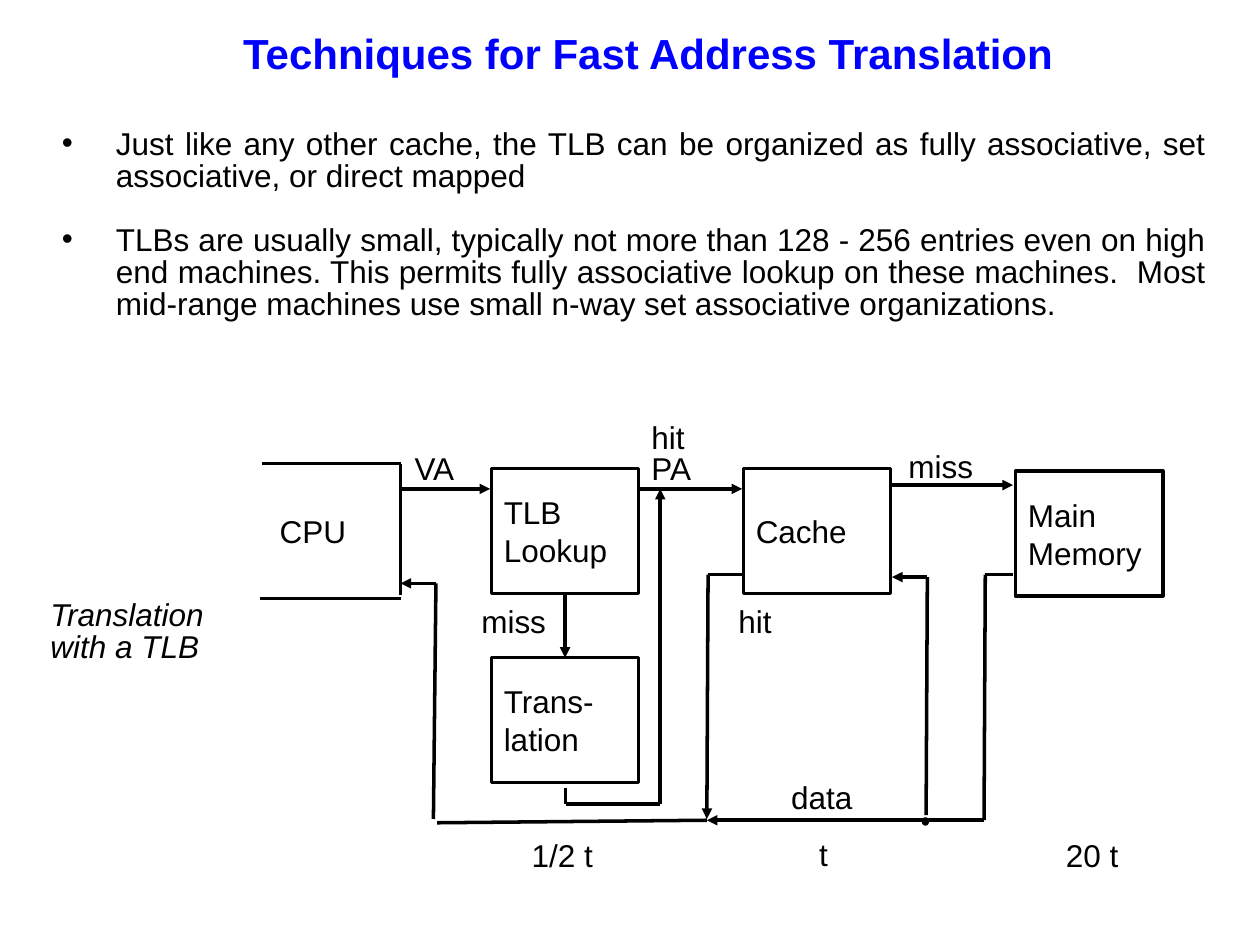
from itertools import pairwise

from lxml.etree import SubElement
from pptx import Presentation
from pptx.dml.color import RGBColor
from pptx.enum.shapes import MSO_CONNECTOR, MSO_SHAPE
from pptx.enum.text import MSO_ANCHOR, MSO_AUTO_SIZE, PP_ALIGN
from pptx.oxml.ns import qn
from pptx.util import Inches, Pt


def rgb(value):
    return RGBColor.from_string(value)


def write(tf, text, size=18, color="000000", bold=False, italic=False,
          align=PP_ALIGN.LEFT, spacing=1.0, gap=0, bullet=False):
    for i, line in enumerate(text.split("\n")):
        p = tf.paragraphs[0] if i == 0 else tf.add_paragraph()
        p.alignment, p.line_spacing = align, spacing
        p.space_before = Pt(gap if i else 0)
        r = p.add_run()
        r.text = line
        font = r.font
        font.name, font.size = "Arial", Pt(size)
        font.bold, font.italic = bold, italic
        font.color.rgb = rgb(color)
        if bullet:
            pPr = p._p.get_or_add_pPr()
            pPr.set("marL", str(Inches(0.43)))
            pPr.set("indent", str(Inches(-0.43)))
            SubElement(pPr, qn("a:buFont"), typeface="Arial")
            SubElement(pPr, qn("a:buChar"), char="•")


class Diagram:
    ink = "000000"
    weight = Pt(2)
    box_size = (1.17, 0.99)

    def __init__(self, slide):
        self.s = slide

    def title(self, text, x, y, w, h):
        sp = self.s.shapes.title
        sp.left, sp.top, sp.width, sp.height = map(Inches, (x, y, w, h))
        tf = sp.text_frame
        tf.word_wrap, tf.vertical_anchor = True, MSO_ANCHOR.TOP
        tf.auto_size = MSO_AUTO_SIZE.NONE
        write(tf, text, size=24, color="0000FF", bold=True)

    def text(self, text, x, y, w, h=0.31, wrap=False, **fmt):
        sp = self.s.shapes.add_textbox(*map(Inches, (x, y, w, h)))
        tf = sp.text_frame
        tf.word_wrap = wrap
        tf.auto_size = MSO_AUTO_SIZE.SHAPE_TO_FIT_TEXT
        tf.margin_left = tf.margin_right = Inches(0.07)
        tf.margin_top = tf.margin_bottom = Inches(0.03)
        write(tf, text, spacing=0.85, **fmt)

    def shape(self, kind, x, y, w, h, fill=None):
        sp = self.s.shapes.add_shape(kind, *map(Inches, (x, y, w, h)))
        sp.shadow.inherit = False
        sp.line.color.rgb, sp.line.width = rgb(self.ink), self.weight
        if fill:
            sp.fill.solid()
            sp.fill.fore_color.rgb = rgb(fill)
        else:
            sp.fill.background()
        return sp

    def box(self, text, x, y):
        sp = self.shape(MSO_SHAPE.RECTANGLE, x, y, *self.box_size)
        tf = sp.text_frame
        tf.word_wrap, tf.vertical_anchor = True, MSO_ANCHOR.MIDDLE
        write(tf, text)
        return sp

    def line(self, start, end, arrow=False):
        cx = self.s.shapes.add_connector(
            MSO_CONNECTOR.STRAIGHT, *map(Inches, (*start, *end)))
        cx.line.color.rgb, cx.line.width = rgb(self.ink), self.weight
        if arrow:
            SubElement(cx.line._get_or_add_ln(), qn("a:tailEnd"), type="triangle")
        SubElement(cx._element.spPr, qn("a:effectLst"))
        return cx

    def route(self, *points, arrow=True):
        for start, end in pairwise(points):
            self.line(start, end, arrow and end == points[-1])

    def join(self, upper, lower):
        cx = self.line((0, 0), (1, 1), arrow=True)
        cx.begin_connect(upper, 2)
        cx.end_connect(lower, 0)


def main():
    prs = Presentation()
    prs.slide_width, prs.slide_height = Inches(10), Inches(7.5)
    s = prs.slides.add_slide(prs.slide_layouts[5])
    d = Diagram(s)

    d.title("Techniques for Fast Address Translation", 1.83, 0.17, 7.27, 0.5)
    d.text("Just like any other cache, the TLB can be organized as fully "
           "associative, set associative, or direct mapped\n"
           "TLBs are usually small, typically not more than 128 - 256 entries "
           "even on high end machines. This permits fully associative lookup on "
           "these machines.  Most mid-range machines use small n-way set "
           "associative organizations.",
           0.42, 1, 9.22, 1.86, wrap=True, align=PP_ALIGN.JUSTIFY,
           gap=18, bullet=True)

    tlb = d.box("TLB\nLookup", 3.9, 3.72)
    translation = d.box("Trans-\nlation", 3.9, 5.22)
    d.box("Cache", 5.9, 3.72)
    d.box("Main\nMemory", 8.06, 3.74)
    d.join(tlb, translation)

    d.route((2.08, 3.68), (3.18, 3.68), (3.18, 4.72), arrow=False)
    d.route((3.18, 4.75), (2.06, 4.75), arrow=False)
    d.route((3.18, 3.88), (3.89, 3.88))
    d.route((5.06, 3.88), (5.89, 3.88))
    d.route((7.07, 3.85), (8.04, 3.85))
    d.route((8.04, 4.56), (7.82, 4.56), (7.81, 6.51), (5.61, 6.51))
    d.route((5.61, 6.51), (3.47, 6.53), arrow=False)
    d.route((3.44, 6.5), (3.46, 4.63), (3.18, 4.63))
    d.route((7.35, 6.47), (7.36, 4.58), (7.08, 4.58))
    d.route((5.89, 4.56), (5.62, 4.56), (5.61, 6.5))
    d.route((4.49, 6.25), (4.49, 6.38), (5.24, 6.38), (5.24, 3.88))
    d.shape(MSO_SHAPE.OVAL, 7.33, 6.5, 0.03, 0.04, fill="4F81BD")

    for label, x, y, w in [
        ("CPU", 2.15, 4.08, 0.67),
        ("VA", 3.22, 3.58, 0.47),
        ("hit", 5.1, 3.33, 0.45),
        ("PA", 5.1, 3.58, 0.47),
        ("miss", 7.14, 3.56, 0.72),
        ("miss", 3.75, 4.79, 0.72),
        ("hit", 5.79, 4.79, 0.45),
        ("data", 6.21, 6.19, 0.66),
        ("1/2 t", 4.15, 6.65, 0.65),
        ("t", 6.43, 6.64, 0.22),
        ("20 t", 8.39, 6.65, 0.57),
    ]:
        d.text(label, x, y, w)
    d.text("Translation\nwith a TLB", 0.33, 4.74, 1.5, 0.57, italic=True)

    prs.save("out.pptx")


if __name__ == "__main__":
    main()
